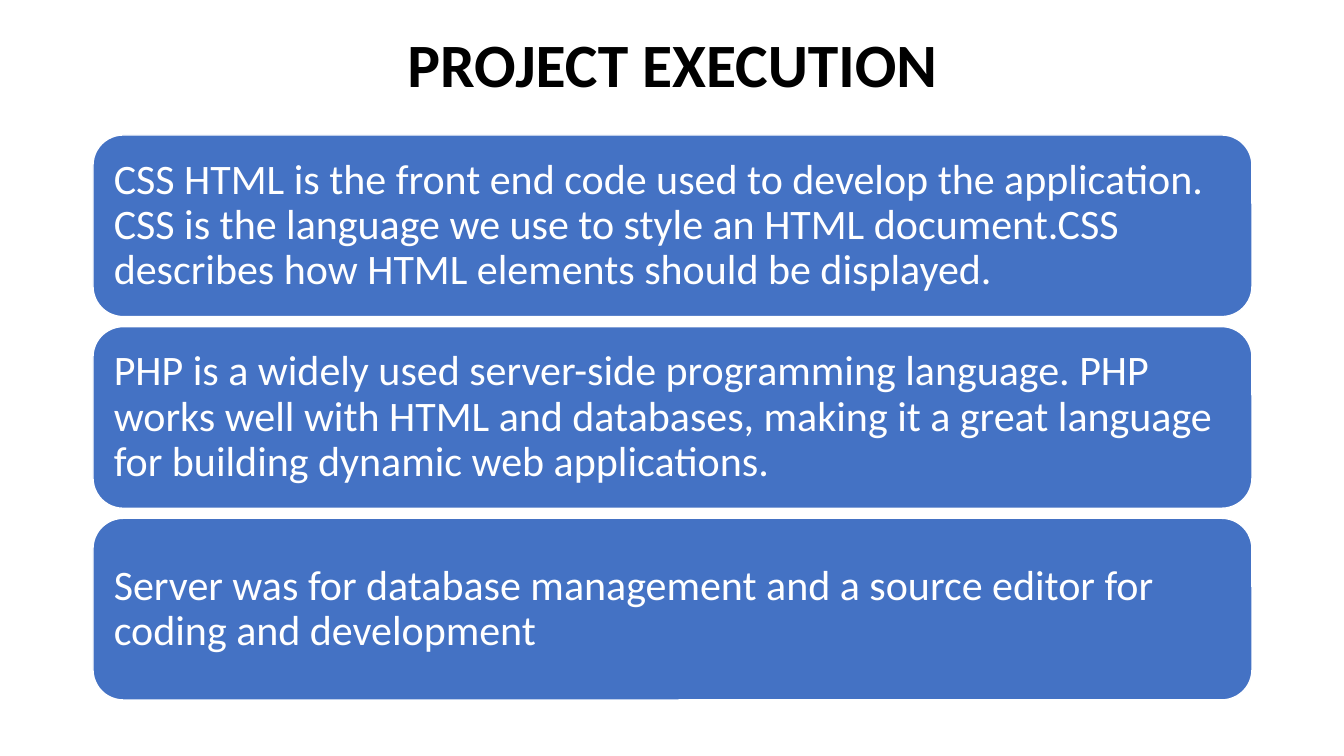
import pptx
import pptx.util
import pptx.dml.color
import pptx.enum.shapes
import pptx.enum.text
from dataclasses import dataclass

PIXEL = 914400 / 100.8
SHAPE = pptx.enum.shapes.MSO_SHAPE
ALIGN = pptx.enum.text.PP_ALIGN
MIDDLE = pptx.enum.text.MSO_ANCHOR.MIDDLE


@dataclass(frozen=True)
class Theme:
    """Colours, font and type sizes of the slide."""
    ink: str = "000000"
    card: str = "4472C4"
    paper: str = "FFFFFF"
    font: str = "Calibri"
    title: int = 44
    body: int = 30


THEME = Theme()
CARDS = (
    "CSS HTML is the front end code used to develop the application. "
    "CSS is the language we use to style an HTML document.CSS describes "
    "how HTML elements should be displayed.",
    "PHP is a widely used server-side programming language. PHP works well "
    "with HTML and databases, making it a great language for building "
    "dynamic web applications.",
    "Server was for database management and a source editor for coding "
    "and development",
)


def px(count):
    """Turn pixels into EMU."""
    return pptx.util.Emu(round(count * PIXEL))


def color(code):
    """Turn a hex code into a colour."""
    return pptx.dml.color.RGBColor.from_string(code)


def assign(target, values):
    """Set each named value on the target."""
    for name, value in values.items():
        setattr(target, name, value)


def write(shape, text, size, ink, align, inset, bold=False):
    """Write one paragraph, centred vertically, into a shape."""
    frame = shape.text_frame
    assign(frame, {
        "word_wrap": True, "vertical_anchor": MIDDLE,
        "margin_left": px(inset), "margin_right": px(inset),
        "margin_top": px(inset), "margin_bottom": px(inset),
    })
    line = frame.paragraphs[0]
    assign(line, {"alignment": align, "line_spacing": 0.9})
    run = line.add_run()
    run.text = text
    assign(run.font, {"name": THEME.font, "size": pptx.util.Pt(size),
                      "bold": bold})
    run.font.color.rgb = color(ink)


def add_title(slide, text, box):
    """Add the centred heading."""
    shape = slide.shapes.add_textbox(*map(px, box))
    write(shape, text, THEME.title, THEME.ink, ALIGN.CENTER, 5, True)


def add_card(slide, text, box):
    """Add one rounded card with its text."""
    shape = slide.shapes.add_shape(SHAPE.ROUNDED_RECTANGLE, *map(px, box))
    shape.shadow.inherit = False
    shape.fill.solid()
    shape.fill.fore_color.rgb = color(THEME.card)
    shape.line.color.rgb = color(THEME.paper)
    shape.line.width = pptx.util.Pt(1)
    write(shape, text, THEME.body, THEME.paper, ALIGN.LEFT, 12)
    # The corner radius already insets the text of a rounded rectangle.


def main():
    """Build the slide and save it."""
    deck = pptx.Presentation()
    assign(deck, {"slide_width": px(1344), "slide_height": px(756)})
    slide = deck.slides.add_slide(deck.slide_layouts[6])
    left, width = 93, 1159
    add_title(slide, "PROJECT EXECUTION", (left, 29, width, 78))
    top, bottom, gap = 135, 700, 10
    pitch = (bottom - top + gap) / len(CARDS)
    for index, text in enumerate(CARDS):
        add_card(slide, text,
                 (left, top + index * pitch, width, pitch - gap))
    deck.save("out.pptx")


if __name__ == "__main__":
    main()
